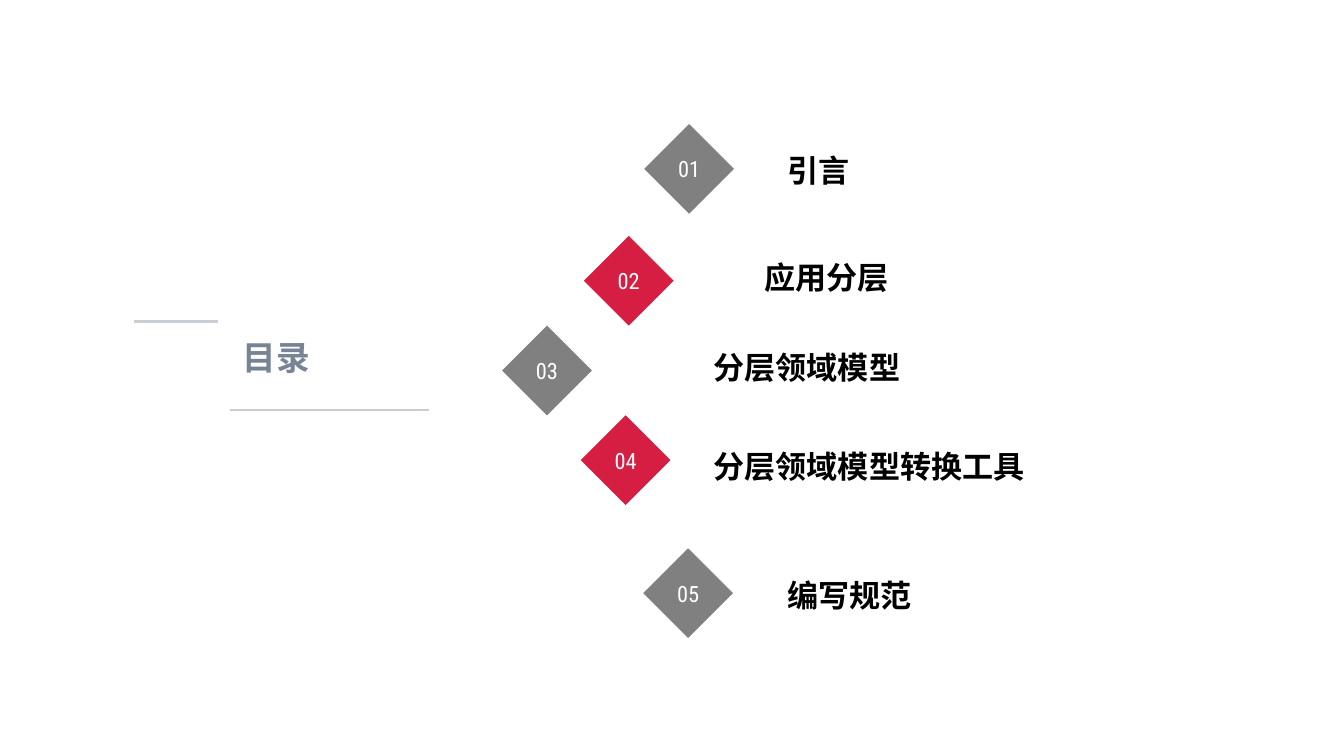
from lxml import etree
from pptx import Presentation
from pptx.dml.color import RGBColor
from pptx.enum import shapes, text
from pptx.oxml import ns
from pptx.util import Inches, Pt

GREY = RGBColor(0x80, 0x80, 0x80)
RED = RGBColor(0xD6, 0x1E, 0x42)
WHITE = RGBColor(0xFF, 0xFF, 0xFF)
BLACK = RGBColor(0, 0, 0)
SLATE = RGBColor(0x77, 0x84, 0x95)
RULE = RGBColor(0xC9, 0xCE, 0xD5)

DIAMOND_SIZE = 0.89
LABEL_SIZE = (3.9, 0.4)

ENTRIES = [
    ("引言", (6.39, 1.23), (7.71, 1.47)),
    ("应用分层", (5.79, 2.34), (7.48, 2.53)),
    ("分层领域模型", (4.98, 3.23), (6.98, 3.43)),
    ("分层领域模型转换工具", (5.76, 4.12), (6.98, 4.41)),
    ("编写规范", (6.38, 5.44), (7.71, 5.69)),
]


def write(shape, words, font, size, color, align, anchor, bold=False, side=0.1):
    """Put one styled paragraph into a shape."""
    frame = shape.text_frame
    frame.word_wrap = True
    frame.vertical_anchor = anchor
    frame.margin_left = frame.margin_right = Inches(side)
    frame.margin_top = frame.margin_bottom = 0
    para = frame.paragraphs[0]
    para.text = words
    para.alignment = align
    para.font.name = font
    para.font.size = Pt(size)
    para.font.bold = bold
    para.font.color.rgb = color


def add_rule(page, left, right, top):
    """Draw a thin horizontal rule."""
    rule = page.shapes.add_connector(
        shapes.MSO_CONNECTOR.STRAIGHT,
        Inches(left), Inches(top), Inches(right), Inches(top))
    rule.line.color.rgb = RULE
    rule.line.width = Pt(1.75)
    etree.SubElement(rule._element.spPr, ns.qn("a:effectLst"))


def add_heading(page, left, top, width, height):
    """Place the heading with its two offset rules."""
    box = page.shapes.add_textbox(
        Inches(left), Inches(top), Inches(width), Inches(height))
    write(box, "目录", "Arial", 24, SLATE, text.PP_ALIGN.CENTER,
          text.MSO_ANCHOR.TOP, bold=True)
    add_rule(page, left - 0.32, left + 0.51, top - 0.15)
    add_rule(page, left + 0.63, left + 2.6, top + 0.73)


def add_entry(page, number, title, diamond_at, label_at):
    """Place one numbered diamond and its title."""
    size = Inches(DIAMOND_SIZE)
    diamond = page.shapes.add_shape(
        shapes.MSO_SHAPE.DIAMOND, *map(Inches, diamond_at), size, size)
    diamond.shadow.inherit = False
    diamond.fill.solid()
    diamond.fill.fore_color.rgb = GREY if number % 2 else RED
    diamond.line.fill.background()
    write(diamond, f"{number:02}", "Roboto Condensed", 16, WHITE,
          text.PP_ALIGN.CENTER, text.MSO_ANCHOR.MIDDLE, side=0)

    label = page.shapes.add_textbox(*map(Inches, label_at + LABEL_SIZE))
    write(label, title, "Arial", 22.2, BLACK, text.PP_ALIGN.LEFT,
          text.MSO_ANCHOR.BOTTOM, bold=True)


def main():
    """Build the contents slide."""
    deck = Presentation()
    deck.slide_width = Inches(13.33)
    deck.slide_height = Inches(7.5)
    page = deck.slides.add_slide(deck.slide_layouts[6])
    add_heading(page, 1.65, 3.34, 2.18, 0.58)
    for number, entry in enumerate(ENTRIES, 1):
        add_entry(page, number, *entry)
    deck.save("out.pptx")


if __name__ == "__main__":
    main()
